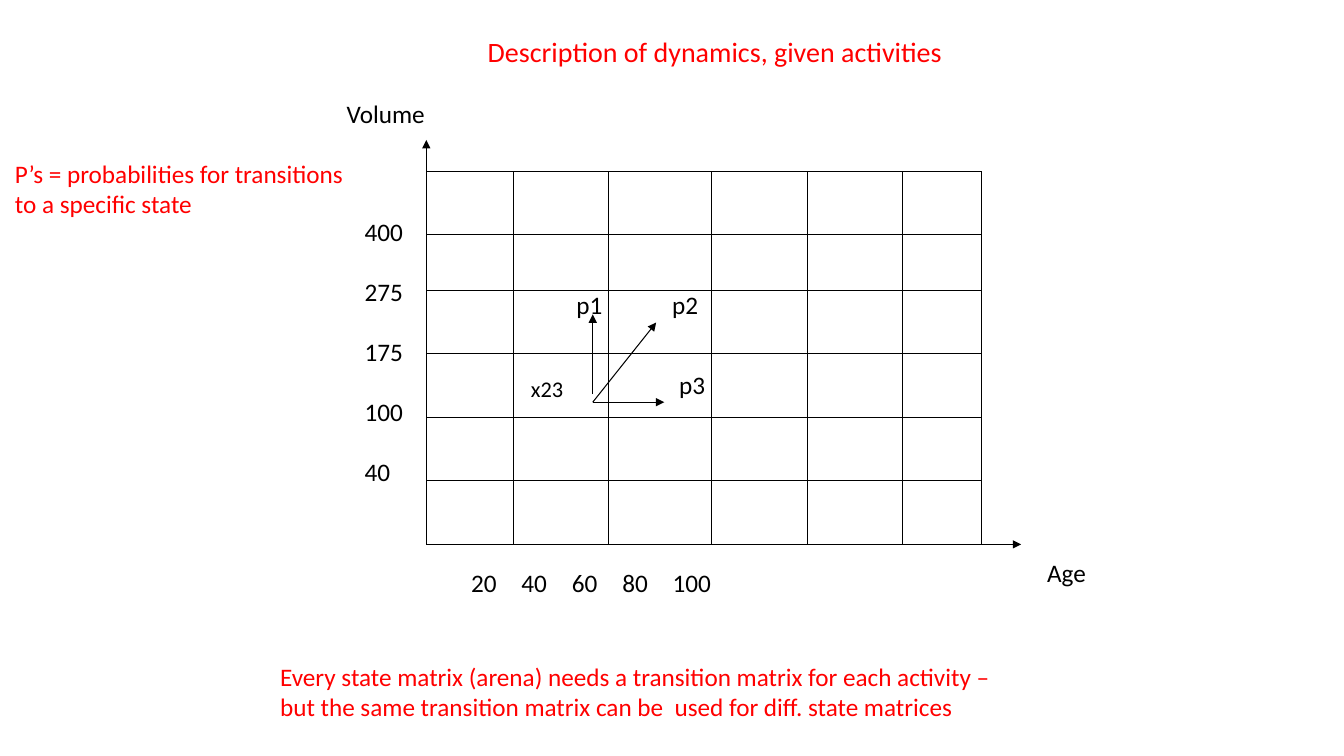
from lxml.etree import SubElement
from pptx import Presentation
from pptx.dml.color import RGBColor
from pptx.enum.shapes import MSO_CONNECTOR
from pptx.enum.text import MSO_AUTO_SIZE
from pptx.oxml.ns import qn
from pptx.util import Pt

FONT = "Calibri"
COLORS = {"ink": "000000", "note": "FF0000"}

# Grid edges: age runs to the right, volume runs upwards
AGE_EDGES = [304.5, 366.5, 434.9, 508.3, 576.7, 644.5, 701.3]
VOLUME_EDGES = [122.4, 167.8, 207.4, 252.7, 298.1, 343.4, 388.8]
LEFT, RIGHT = AGE_EDGES[0], AGE_EDGES[-1]
TOP, BOTTOM = VOLUME_EDGES[0], VOLUME_EDGES[-1]

AXES = [
    ((LEFT, BOTTOM), (729.4, BOTTOM)),
    ((LEFT, 383), (LEFT, 100)),
]
TRANSITIONS = [
    ((423.4, 287.3), (474.5, 287.3)),
    ((423.4, 287.3), (468.7, 230.4)),
    ((423.4, 281.5), (423.4, 224.6)),
]

# Paragraphs, (left, top, width, height), size, colour, wrap
LABELS = [
    (["Age"], (740.9, 394.6, 42.5, 29), 18, "ink", False),
    (["Volume"], (240.5, 67, 73.4, 29), 18, "ink", False),
    (["Description of dynamics, given activities"],
     (341.3, 20.9, 342.7, 31.5), 20, "note", False),
    (["x23"], (372.2, 264.2, 38.2, 26.6), 16, "ink", False),
    (["p1"], (404.6, 203, 34.6, 29), 18, "ink", False),
    (["p2"], (473, 203, 34.6, 29), 18, "ink", False),
    (["p3"], (478.1, 259.9, 34.6, 29), 18, "ink", False),
    (["Every state matrix (arena) needs a transition matrix for each activity – "
      "but the same transition matrix can be  used for diff. state matrices"],
     (193, 468.7, 535, 51), 18, "note", True),
    (["P’s = probabilities for transitions", "to a specific state"],
     (3.6, 109.4, 251.3, 51), 18, "note", False),
]

VOLUME_TICKS = ["400", "275", "175", "100", "40"]
VOLUME_TICKS_BOX = (253.4, 151.2, 42.5, 203.8)
VOLUME_TICK_GAP = 21.3

AGE_TICKS = ["20", "40", "60", "80", "100"]
AGE_TICK_OFFSETS = [32, 87, 145.5, 196, 247]
AGE_TICKS_BOX = (297.4, 401.8, 311.8, 29)


def add_line(slide, start, end, arrow=False):
    line = slide.shapes.add_connector(
        MSO_CONNECTOR.STRAIGHT, *(Pt(v) for v in (*start, *end)))
    line.line.color.rgb = RGBColor.from_string(COLORS["ink"])
    line.line.width = Pt(0.75)
    properties = line._element.spPr
    if arrow:
        SubElement(properties.find(qn("a:ln")), qn("a:tailEnd"), type="triangle")
    SubElement(properties, qn("a:effectLst"))


def add_label(slide, paragraphs, box, size, color, wrap, gap=0, tabs=()):
    """Add a text box; gap separates paragraphs, tabs place columns in points."""
    frame = slide.shapes.add_textbox(*(Pt(v) for v in box)).text_frame
    frame.word_wrap = wrap
    frame.auto_size = MSO_AUTO_SIZE.SHAPE_TO_FIT_TEXT
    for index, text in enumerate(paragraphs):
        paragraph = frame.add_paragraph() if index else frame.paragraphs[0]
        if tabs:
            properties = paragraph._p.get_or_add_pPr()
            properties.set("marL", str(Pt(tabs[0])))
            properties.set("indent", "0")
            stops = SubElement(properties, qn("a:tabLst"))
            for offset in tabs[1:]:
                SubElement(stops, qn("a:tab"), pos=str(Pt(offset)), algn="l")
        if index and gap:
            paragraph.space_before = Pt(gap)
        run = paragraph.add_run()
        run.text = text
        run.font.name = FONT
        run.font.size = Pt(size)
        run.font.color.rgb = RGBColor.from_string(COLORS[color])


def main():
    deck = Presentation()
    deck.slide_width, deck.slide_height = Pt(960), Pt(540)
    slide = deck.slides.add_slide(deck.slide_layouts[6])

    for y in VOLUME_EDGES:
        add_line(slide, (LEFT, y), (RIGHT, y))
    for x in AGE_EDGES:
        add_line(slide, (x, BOTTOM), (x, TOP))
    for start, end in AXES + TRANSITIONS:
        add_line(slide, start, end, arrow=True)

    for label in LABELS:
        add_label(slide, *label)
    add_label(slide, VOLUME_TICKS, VOLUME_TICKS_BOX, 18, "ink", False,
              gap=VOLUME_TICK_GAP)
    add_label(slide, ["\t".join(AGE_TICKS)], AGE_TICKS_BOX, 18, "ink", True,
              tabs=AGE_TICK_OFFSETS)

    deck.save("out.pptx")


if __name__ == "__main__":
    main()
